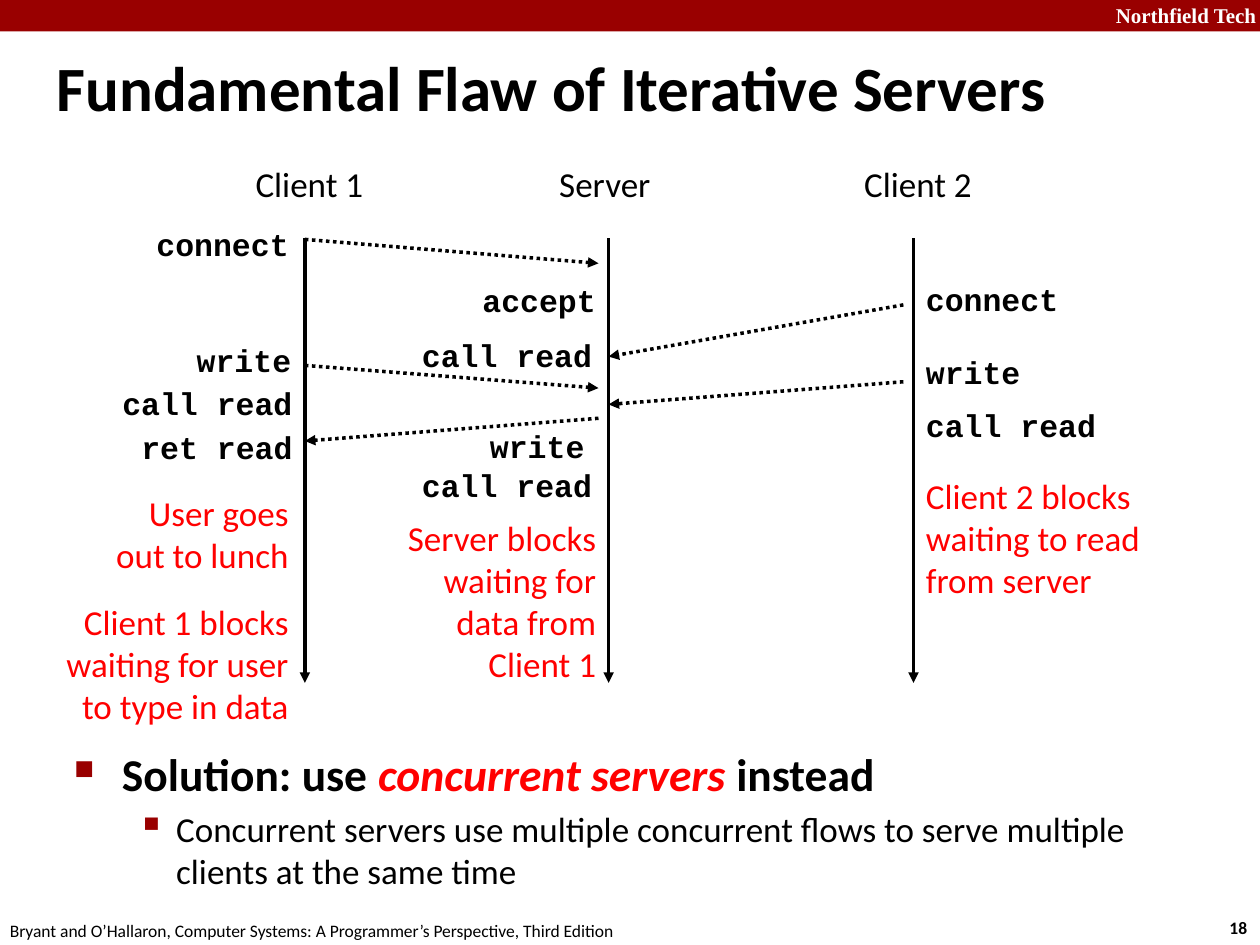
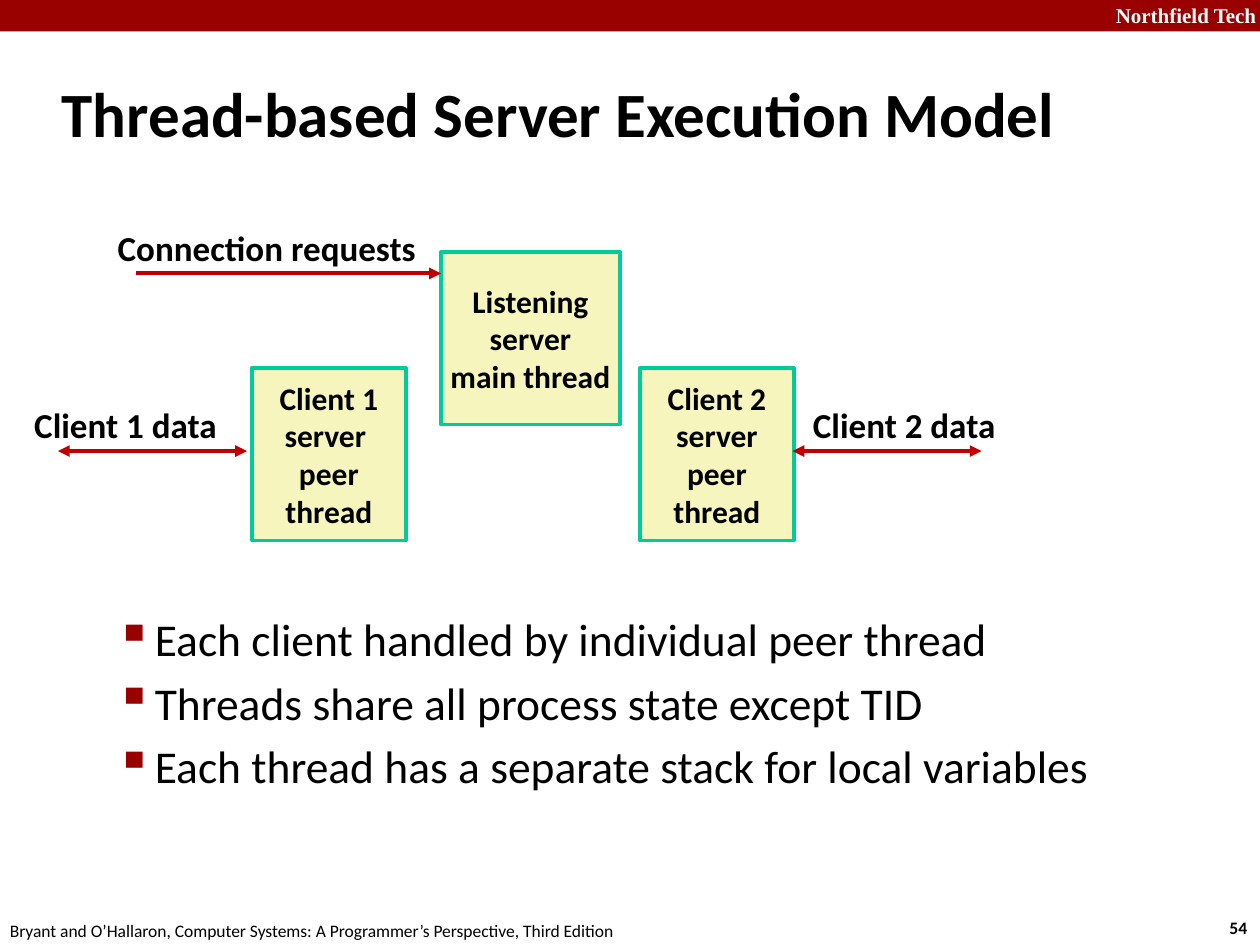
from lxml.etree import SubElement
from pptx import Presentation
from pptx.dml.color import RGBColor
from pptx.enum.dml import MSO_LINE
from pptx.enum.shapes import MSO_CONNECTOR, MSO_SHAPE
from pptx.enum.text import MSO_ANCHOR, MSO_AUTO_SIZE, PP_ALIGN
from pptx.oxml.ns import qn
from pptx.util import Emu, Pt

PX = 9144  # EMU in one px, 100 px to the inch

BLACK = RGBColor(0x00, 0x00, 0x00)
WHITE = RGBColor(0xFF, 0xFF, 0xFF)
RED = RGBColor(0xFF, 0x00, 0x00)
CRIMSON = RGBColor(0x99, 0x00, 0x00)
ARROW_RED = RGBColor(0xC0, 0x00, 0x00)
BOX_FILL = RGBColor(0xF6, 0xF5, 0xBD)
BOX_LINE = RGBColor(0x00, 0xCC, 0x99)

BODY_FONT = "Calibri"
CODE_FONT = "Courier New"
BAND_FONT = "Times New Roman"

INSTITUTION = "Northfield Tech"
BOOK = "Bryant and O’Hallaron, Computer Systems: A Programmer’s Perspective, Third Edition"

LEFT, CENTER, RIGHT = PP_ALIGN.LEFT, PP_ALIGN.CENTER, PP_ALIGN.RIGHT


def px(*lengths):
    return [Emu(length * PX) for length in lengths]


def add_text(paragraph, text, size=20, font=BODY_FONT, color=BLACK, bold=False,
             italic=False, align=LEFT, before=0):
    """Append one formatted run and set the layout of its paragraph."""
    paragraph.alignment = align
    paragraph.space_before = Pt(before)
    run = paragraph.add_run()
    run.text = text
    run.font.name, run.font.size = font, Pt(size)
    run.font.bold, run.font.italic = bold, italic
    run.font.color.rgb = color


def add_bullet(paragraph, symbol, percent, margin, hanging):
    properties = paragraph._p.get_or_add_pPr()
    properties.set("marL", str(margin * PX))
    properties.set("indent", str(-hanging * PX))
    color = SubElement(properties, qn("a:buClr"))
    SubElement(color, qn("a:srgbClr"), val=str(CRIMSON))
    SubElement(properties, qn("a:buSzPct"), val=str(percent * 1000))
    SubElement(properties, qn("a:buChar"), char=symbol)


class Deck:
    def __init__(self):
        self.presentation = Presentation()
        self.presentation.slide_width, self.presentation.slide_height = px(1000, 750)
        self.slide = None

    def add_slide(self, title, number, title_box):
        layout = self.presentation.slide_layouts.get_by_name("Title Only")
        self.slide = self.presentation.slides.add_slide(layout)
        # Band and footer
        self.rectangle((0, 0, 1000, 25), CRIMSON)
        self.text((864, -3, 143, 30), [INSTITUTION], wrap=True, size=12,
                  font=BAND_FONT, color=WHITE, bold=True, align=RIGHT)
        self.text((966, 723, 37, 27), [number], size=10, bold=True)
        self.text((-2, 725, 508, 27), [BOOK], size=10)
        # Title
        shape = self.slide.shapes.title
        shape.left, shape.top, shape.width, shape.height = px(*title_box)
        frame = shape.text_frame
        frame.auto_size = MSO_AUTO_SIZE.NONE
        frame.vertical_anchor = MSO_ANCHOR.MIDDLE
        add_text(frame.paragraphs[0], title, size=36, bold=True)

    def fill_frame(self, frame, lines, wrap=False, **style):
        frame.word_wrap = wrap
        for index, line in enumerate(lines):
            paragraph = frame.add_paragraph() if index else frame.paragraphs[0]
            add_text(paragraph, line, **style)

    def text(self, box, lines, **style):
        shape = self.slide.shapes.add_textbox(*px(*box))
        self.fill_frame(shape.text_frame, lines, **style)
        return shape.text_frame

    def rectangle(self, box, fill, outline=None, lines=()):
        shape = self.slide.shapes.add_shape(MSO_SHAPE.RECTANGLE, *px(*box))
        shape.shadow.inherit = False
        shape.fill.solid()
        shape.fill.fore_color.rgb = fill
        if outline is None:
            shape.line.fill.background()
        else:
            shape.line.color.rgb = outline
            shape.line.width = Pt(2.25)
        shape.text_frame.vertical_anchor = MSO_ANCHOR.MIDDLE
        self.fill_frame(shape.text_frame, lines, size=18, bold=True, align=CENTER)

    def arrow(self, start, end, color=BLACK, width=2, dotted=False, both=False):
        connector = self.slide.shapes.add_connector(
            MSO_CONNECTOR.STRAIGHT, *px(*start, *end))
        connector.line.color.rgb = color
        connector.line.width = Pt(width)
        if dotted:
            connector.line.dash_style = MSO_LINE.ROUND_DOT
        properties = connector.element.spPr
        line = properties.find(qn("a:ln"))
        if both:
            SubElement(line, qn("a:headEnd"), type="triangle")
        SubElement(line, qn("a:tailEnd"), type="triangle")
        SubElement(properties, qn("a:effectLst"))

    def sub_bullet(self, paragraph, text, size):
        add_text(paragraph, text, size=size, before=size / 5)
        add_bullet(paragraph, "▪", 110, margin=81, hanging=31)


def build_iterative_flaw(deck):
    deck.add_slide("Fundamental Flaw of Iterative Servers", "18", (35, 37, 983, 63))

    # Lifelines
    client_1, server, client_2 = 242, 483, 725
    for name, x, width in (("Client 1", client_1, 107), ("Server", server, 93),
                           ("Client 2", client_2, 107)):
        deck.text((x - 49, 124, width, 44), [name])
        deck.arrow((x, 189), (x, 542))

    # Messages between lifelines
    before_server, before_client_2 = server - 8, client_2 - 8
    for start, end in (
        ((client_1, 190), (before_server, 209)),
        ((before_client_2, 242), (server, 283)),
        ((client_1, 290), (before_server, 308)),
        ((before_client_2, 303), (server, 321)),
        ((before_server, 332), (client_1, 350)),
    ):
        deck.arrow(start, end, dotted=True)

    # Calls made along each lifeline
    for call, left, top, width, align in (
        ("connect", 113, 174, 126, RIGHT),
        ("write", 145, 266, 96, RIGHT),
        ("call read", 86, 300, 156, RIGHT),
        ("ret read", 101, 335, 141, RIGHT),
        ("accept", 373, 218, 111, LEFT),
        ("call read", 325, 262, 157, LEFT),
        ("write", 379, 334, 96, LEFT),
        ("call read", 325, 365, 156, LEFT),
        ("connect", client_2, 217, 126, LEFT),
        ("write", client_2, 275, 96, LEFT),
        ("call read", client_2, 317, 156, LEFT),
    ):
        deck.text((left, top, width, 40), [call], size=18, font=CODE_FONT,
                  bold=True, align=align)

    # Where each party gets stuck
    lunch = deck.text((35, 385, 204, 199),
                      ["User goes", "out to lunch", "Client 1 blocks",
                       "waiting for user", "to type in data"],
                      color=RED, align=RIGHT)
    lunch.paragraphs[2].space_before = Pt(14.5)
    deck.text((312, 405, 171, 145),
              ["Server blocks", "waiting for", "data from", "Client 1"],
              color=RED, align=RIGHT)
    deck.text((client_2, 372, 192, 111),
              ["Client 2 blocks", "waiting to read", "from server"], color=RED)

    # Solution
    frame = deck.text((49, 587, 926, 126), [], wrap=True)
    solution = frame.paragraphs[0]
    for text, emphasis in (("Solution: use ", {}),
                           ("concurrent servers ", {"color": RED, "italic": True}),
                           ("instead", {})):
        add_text(solution, text, size=26, bold=True, before=5.2, **emphasis)
    add_bullet(solution, "■", 60, margin=38, hanging=38)
    deck.sub_bullet(frame.add_paragraph(),
                    "Concurrent servers use multiple concurrent flows to serve "
                    "multiple clients at the same time", 20)


def build_thread_model(deck):
    deck.add_slide("Thread-based Server Execution Model", "54", (39, 48, 830, 83))

    # Threads
    for left, top, width, lines in (
        (200, 292, 122, ["Client 1", "server ", "peer", "thread"]),
        (508, 292, 122, ["Client 2", "server", "peer", "thread"]),
        (350, 200, 142, ["Listening", "server", "main thread"]),
    ):
        deck.rectangle((left, top, width, 137), BOX_FILL, BOX_LINE, lines)

    # Traffic in and out
    for label, left, top, width, start, end, both in (
        ("Connection requests", 80, 175, 260, (108, 217), (350, 217), False),
        ("Client 1 data", 15, 315, 167, (46, 358), (196, 358), True),
        ("Client 2 data", 633, 315, 167, (779, 358), (629, 358), True),
    ):
        deck.arrow(start, end, color=ARROW_RED, width=2.25, both=both)
        deck.text((left, top, width, 44), [label], bold=True, align=RIGHT)

    # Properties of the model
    frame = deck.text((32, 480, 909, 222), [], wrap=True)
    for index, text in enumerate((
        "Each client handled by individual peer thread",
        "Threads share all process state except TID",
        "Each thread has a separate stack for local variables",
    )):
        paragraph = frame.add_paragraph() if index else frame.paragraphs[0]
        deck.sub_bullet(paragraph, text, 26)


def main():
    deck = Deck()
    build_iterative_flaw(deck)
    build_thread_model(deck)
    deck.presentation.save("out.pptx")


if __name__ == "__main__":
    main()
